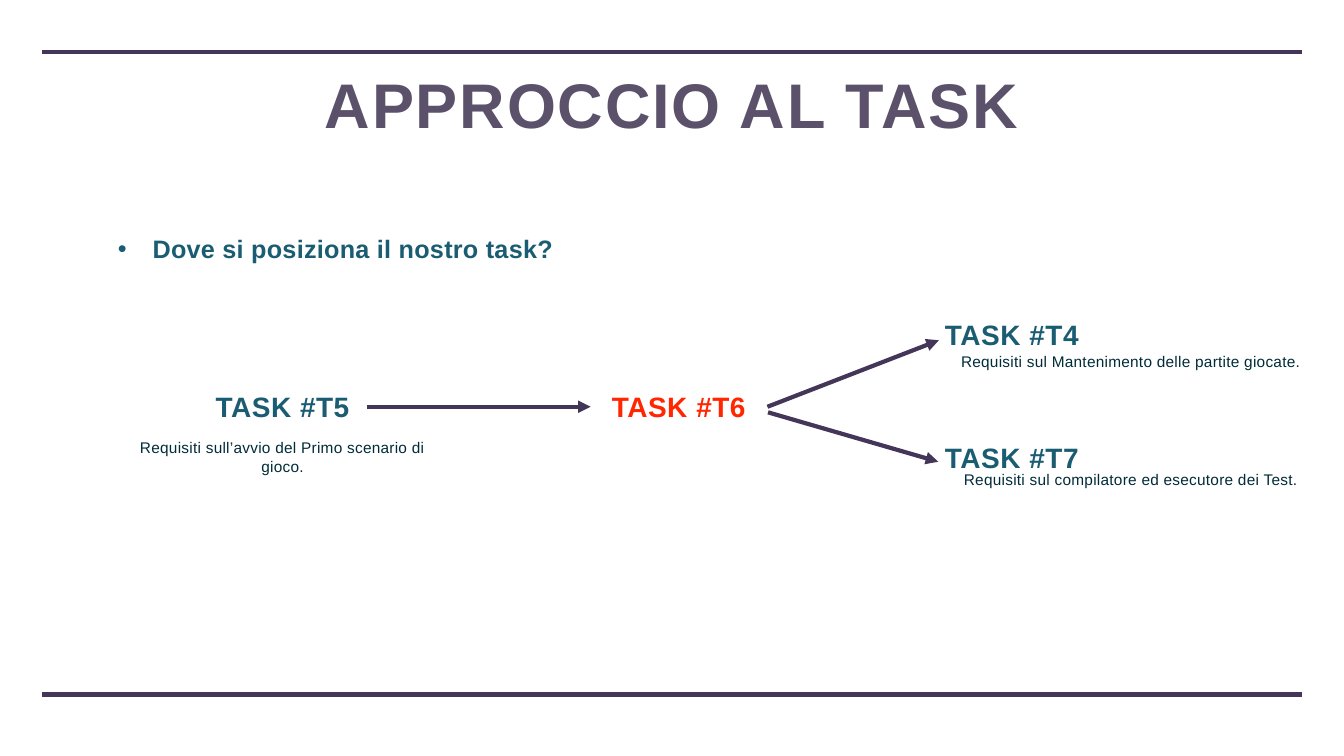
from dataclasses import dataclass

from lxml import etree
from pptx import Presentation
from pptx.dml.color import RGBColor
from pptx.enum.shapes import MSO_CONNECTOR
from pptx.enum.text import MSO_ANCHOR, MSO_AUTO_SIZE, PP_ALIGN
from pptx.oxml.ns import qn
from pptx.util import Cm, Pt

STRAIGHT = MSO_CONNECTOR.STRAIGHT
LEFT, CENTER = PP_ALIGN.LEFT, PP_ALIGN.CENTER
TOP, MIDDLE = MSO_ANCHOR.TOP, MSO_ANCHOR.MIDDLE
NO_FIT, GROW = MSO_AUTO_SIZE.NONE, MSO_AUTO_SIZE.SHAPE_TO_FIT_TEXT


@dataclass(frozen=True)
class TextStyle:
    size: float
    color: str
    bold: bool = True
    tracking: float = 0.4


@dataclass(frozen=True)
class Theme:
    font: str = "Arial"
    line_color: str = "443658"
    line_width: float = 6
    inset: float = 0.15
    title: TextStyle = TextStyle(90, "5B516A", tracking=2.7)
    question: TextStyle = TextStyle(36, "1A5C71")
    task: TextStyle = TextStyle(40, "1A5C71", tracking=0.8)
    our_task: TextStyle = TextStyle(40, "FF2600", tracking=0.8)
    caption: TextStyle = TextStyle(22, "002C39", bold=False)


class SlideBuilder:
    def __init__(self, slide, theme):
        self.s = slide
        self.theme = theme

    def frame(self, sp, anchor, auto_size, wrap=True):
        tf = sp.text_frame
        tf.word_wrap = wrap
        tf.auto_size = auto_size
        tf.vertical_anchor = anchor
        inset = Cm(self.theme.inset)
        tf.margin_left = tf.margin_right = inset
        tf.margin_top = tf.margin_bottom = inset
        return tf

    def add_text(self, p, text, style, align=CENTER, spacing=1.0):
        p.alignment = align
        p.line_spacing = spacing
        p.space_before = Pt(0)
        r = p.add_run()
        r.text = text
        r.font.name = self.theme.font
        r.font.size = Pt(style.size)
        r.font.bold = style.bold
        r.font.color.rgb = RGBColor.from_string(style.color)
        r.font._element.set("spc", str(round(style.tracking * 100)))

    def place(self, sp, left, top, width, height):
        sp.left, sp.top = Cm(left), Cm(top)
        sp.width, sp.height = Cm(width), Cm(height)

    def title(self, text, *box):
        sp = self.s.shapes.title
        self.place(sp, *box)
        tf = self.frame(sp, TOP, NO_FIT)
        self.add_text(tf.paragraphs[0], text, self.theme.title, spacing=0.9)

    def bullets(self, items, *box):
        sp = self.s.placeholders[1]
        self.place(sp, *box)
        tf = self.frame(sp, TOP, NO_FIT)
        for i, item in enumerate(items):
            p = tf.add_paragraph() if i else tf.paragraphs[0]
            self.add_text(p, item, self.theme.question, LEFT)
            pPr = p._p.get_or_add_pPr()
            pPr.set("marL", str(Cm(1.75)))
            pPr.set("indent", str(-Cm(1.75)))
            etree.SubElement(pPr, qn("a:buChar"), char="•")

    def label(self, text, style, x, y, width, height, wrap=True):
        """Add a text box centred on the point (x, y)."""
        sp = self.s.shapes.add_textbox(Cm(x - width / 2), Cm(y - height / 2),
                                       Cm(width), Cm(height))
        tf = self.frame(sp, MIDDLE, GROW, wrap)
        self.add_text(tf.paragraphs[0], text, style)

    def line(self, x1, y1, x2, y2, arrow=False):
        sp = self.s.shapes.add_connector(STRAIGHT, Cm(x1), Cm(y1), Cm(x2), Cm(y2))
        sp.line.color.rgb = RGBColor.from_string(self.theme.line_color)
        sp.line.width = Pt(self.theme.line_width)
        if arrow:
            etree.SubElement(sp.line._get_or_add_ln(), qn("a:tailEnd"), type="triangle")
        etree.SubElement(sp._element.spPr, qn("a:effectLst"))


def main():
    prs = Presentation()
    prs.slide_width, prs.slide_height = Cm(67.74), Cm(38.1)
    theme = Theme()
    page = SlideBuilder(prs.slides.add_slide(prs.slide_layouts[1]), theme)

    for y in (2.64, 35):
        page.line(2.12, y, 65.61, y)
    page.title("APPROCCIO AL TASK", 5.79, 3.56, 56.13, 4.57)
    page.bullets(["Dove si posiziona il nostro task?"], 5.79, 11.63, 56.13, 17.45)

    previous_x, our_x, next_x, middle_y = 14.24, 34.21, 51, 20.5
    tasks = [
        ("TASK #T5", theme.task, previous_x, middle_y),
        ("TASK #T6", theme.our_task, our_x, middle_y),
        ("TASK #T4", theme.task, next_x, 16.84),
        ("TASK #T7", theme.task, next_x, 23.04),
    ]
    for name, style, x, y in tasks:
        page.label(name, style, x, y, 7.22, 2.13, wrap=False)

    arrows = [
        (18.52, middle_y, 29.77, middle_y),
        (38.68, middle_y, 47.32, 17.15),
        (38.71, 20.78, 47.29, 23.27),
    ]
    for ends in arrows:
        page.line(*ends, arrow=True)

    captions = [
        ("Requisiti sull’avvio del Primo scenario di gioco.", previous_x, 23.03, 16.74, 2.16),
        ("Requisiti sul Mantenimento delle partite giocate.", 57, 18.22, 19.91, 1.3),
        ("Requisiti sul compilatore ed esecutore dei Test.", 57, 24.17, 19.91, 1.3),
    ]
    for text, *box in captions:
        page.label(text, theme.caption, *box)

    prs.save("out.pptx")


if __name__ == "__main__":
    main()
